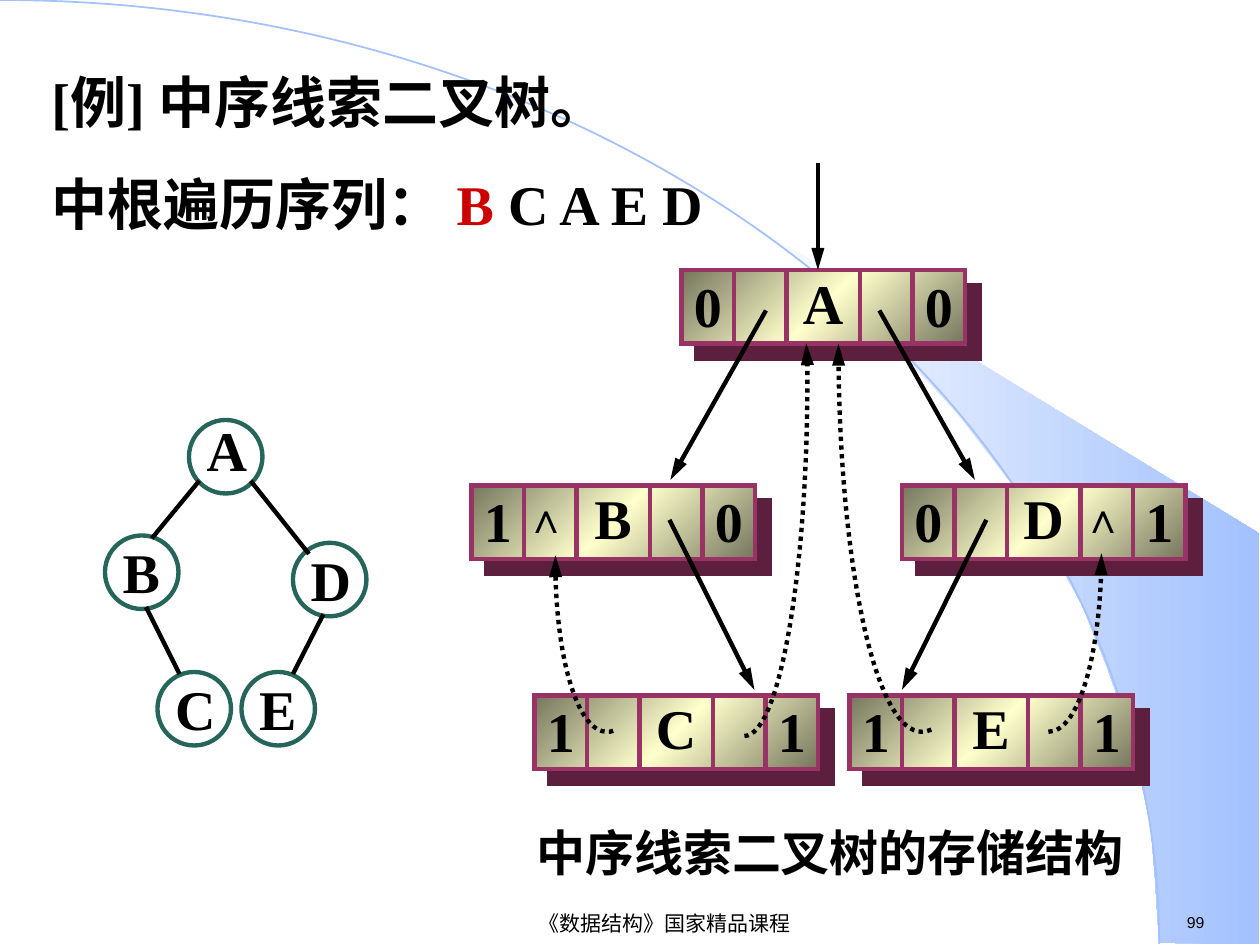
import pptx
import pptx.dml.color
import pptx.enum.dml
import pptx.enum.shapes
import pptx.enum.text
import pptx.oxml
import pptx.oxml.ns
import pptx.util

# The slide is laid out on a grid of 120 columns by 90 rows, 12 to the inch.
CELL = pptx.util.Inches(1) / 12
SERIF = "Times New Roman"
BLACK, PLUM, BLUE, GREEN = "000000", "993366", "A2C1FE", "26665A"
NAMESPACE = pptx.oxml.ns.nsdecls("a")
ALIGN = pptx.enum.text.PP_ALIGN
ANCHOR = pptx.enum.text.MSO_ANCHOR
SHAPE = pptx.enum.shapes.MSO_SHAPE
DOTTED = pptx.enum.dml.MSO_LINE.ROUND_DOT

RECORD_WIDTH, RECORD_HEIGHT = 27, 7
DIVIDERS = (5, 10, 17, 22)

# left, top, left tag, letter, right tag
RECORDS = [
    (64.9, 25.73, "0", "A", "0"),
    (44.9, 46.23, "1", "B", "0"),
    (50.9, 66.23, "1", "C", "1"),
    (85.9, 46.23, "0", "D", "1"),
    (80.9, 66.23, "1", "E", "1"),
]
EMPTY_LINKS = [(48.9, 46.23), (101.9, 46.23)]
POINTERS = [
    (77.9, 15.7, 77.9, 25.7),
    (72.85, 29.75, 63.85, 45.7),
    (83.85, 29.75, 92.85, 45.7),
    (63.85, 49.7, 71.85, 65.7),
    (93.85, 49.7, 85.9, 65.7),
]
# Each thread: a start, then three points for each Bézier piece
THREADS = [
    [(70.9, 70.1), (74.2, 70.1), (76.9, 54.8), (76.9, 36.1),
     (76.9, 34.9), (76.9, 33.8), (76.8, 32.7)],
    [(88.7, 69.5), (88.4, 69.6), (88.1, 69.7), (87.8, 69.7),
     (83.4, 69.7), (79.85, 53.2), (79.85, 32.75)],
    [(58.4, 69.6), (58.2, 69.7), (58.1, 69.7), (57.8, 69.7),
     (55.1, 69.7), (52.9, 62.5), (52.9, 53.6),
     (52.9, 53.4), (52.9, 53.2), (52.9, 52.9)],
    [(99.85, 69.7), (102.6, 69.7), (104.9, 62), (104.9, 52.7)],
]
NODES = [("A", 18, 40), ("C", 15, 64), ("B", 10, 51), ("E", 23, 64), ("D", 27.9, 51.7)]
BRANCHES = [
    (18.85, 45.95, 14.6, 51.1),
    (14, 58, 17, 64),
    (24, 45.95, 29.3, 52.6),
    (30.7, 58.7, 28, 64),
]
BACKDROP_ARC = [(0, 0), (61, 0), (110.4, 40.2), (110.4, 89.9)]
WEDGE = [
    (110.4, 89.8), (119.9, 89.9), (119.9, 50.8), (70.7, 20.8), (74.9, 23.9),
    (78.4, 26.6), (82.2, 30), (85.9, 33.6), (91.4, 39.6), (96.4, 46.1),
    (99.8, 51.7), (103, 57.5), (105.4, 63.4), (107.2, 68.6), (108.4, 73.1),
    (109.6, 78.7), (110, 83.5),
]


def grid(*values):
    return [pptx.util.Emu(round(value * CELL)) for value in values]


def colour(code):
    return pptx.dml.color.RGBColor.from_string(code)


def style_line(line, code, width=2.5, dash=None, arrow=False, square=False):
    line.color.rgb = colour(code)
    line.width = pptx.util.Pt(width)
    if dash is not None:
        line.dash_style = dash
    stroke = line._get_or_add_ln()
    if square:
        stroke.set("cap", "sq")
        stroke.append(pptx.oxml.parse_xml(f'<a:miter {NAMESPACE} lim="800000"/>'))
    if arrow:
        stroke.append(pptx.oxml.parse_xml(
            f'<a:tailEnd {NAMESPACE} type="triangle" w="med" len="lg"/>'))


def style_font(para, size, code=BLACK, name=SERIF, bold=True):
    para.font.size = pptx.util.Pt(size)
    para.font.name = name
    para.font.bold = bold
    para.font.color.rgb = colour(code)


def fill_gradient(shape, stops, angle):
    """Fill a shape with (percent, colour) stops along a clockwise angle."""
    marks = "".join(f'<a:gs pos="{percent * 1000}"><a:srgbClr val="{code}"/></a:gs>'
                    for percent, code in stops)
    shape.fill.background()
    properties = shape._element.spPr
    blank = properties.find(pptx.oxml.ns.qn("a:noFill"))
    properties.replace(blank, pptx.oxml.parse_xml(
        f'<a:gradFill {NAMESPACE} rotWithShape="1"><a:gsLst>{marks}</a:gsLst>'
        f'<a:lin ang="{angle * 60000}" scaled="0"/></a:gradFill>'))


def add_label(page, text, place, size=32, align=ALIGN.LEFT, spacing=None,
              anchor=ANCHOR.TOP, name=SERIF, bold=True):
    frame = page.shapes.add_textbox(*grid(*place)).text_frame
    frame.word_wrap = True
    frame.vertical_anchor = anchor
    para = frame.paragraphs[0]
    para.text = text
    para.alignment = align
    para.line_spacing = spacing
    style_font(para, size, name=name, bold=bold)


def add_line(page, ends, code=BLACK, arrow=False):
    line = page.shapes.add_connector(
        pptx.enum.shapes.MSO_CONNECTOR.STRAIGHT, *grid(*ends))
    style_line(line.line, code, arrow=arrow, square=True)
    line._element.spPr.append(pptx.oxml.parse_xml(f"<a:effectLst {NAMESPACE}/>"))


def add_outline(page, points, close=False):
    corners = [grid(*point) for point in points]
    builder = page.shapes.build_freeform(*corners[0])
    builder.add_line_segments(corners[1:], close=close)
    shape = builder.convert_to_shape()
    shape.shadow.inherit = False
    return shape


def add_curve(page, controls, **line_style):
    """Draw an open curve: each three segments become one Bézier piece."""
    curve = add_outline(page, controls)
    segments = list(curve._element.iter(pptx.oxml.ns.qn("a:lnTo")))
    for first in range(0, len(segments), 3):
        piece = pptx.oxml.parse_xml(f"<a:cubicBezTo {NAMESPACE}/>")
        segments[first].addprevious(piece)
        for segment in segments[first:first + 3]:
            piece.append(segment[0])
            segment.getparent().remove(segment)
    curve.fill.background()
    style_line(curve.line, **line_style)


def add_record(page, left, top, left_tag, letter, right_tag):
    box = page.shapes.add_shape(
        SHAPE.RECTANGLE, *grid(left, top, RECORD_WIDTH, RECORD_HEIGHT))
    fill_gradient(box, [(0, "76765E"), (50, "FFFFCC"), (100, "76765E")], 45)
    style_line(box.line, PLUM, square=True)
    box.shadow.inherit = False
    effects = box._element.spPr.find(pptx.oxml.ns.qn("a:effectLst"))
    effects.append(pptx.oxml.parse_xml(
        f'<a:outerShdw {NAMESPACE} dist="{pptx.util.Pt(12.1)}" dir="2700000" algn="ctr">'
        '<a:srgbClr val="5C1F3D"/></a:outerShdw>'))
    for offset in DIVIDERS:
        add_line(page, (left + offset, top, left + offset, top + RECORD_HEIGHT), PLUM)
    add_label(page, letter, (left + 10, top, 7, 7), align=ALIGN.CENTER, spacing=0.9)
    for tag, offset in ((left_tag, 0), (right_tag, DIVIDERS[-1])):
        add_label(page, tag, (left + offset, top - 0.45, 6, 7.7))


def add_node(page, letter, left, top):
    circle = page.shapes.add_shape(SHAPE.OVAL, *grid(left, top, 7, 7))
    circle.fill.background()
    circle.shadow.inherit = False
    style_line(circle.line, GREEN)
    first = letter == "A"
    add_label(page, letter, (left + 0.5, top - 1, 7, 7.7 if first else 8.3),
              spacing=None if first else 1.1)


def add_heading(page):
    title = page.shapes.title
    title.left, title.top, title.width, title.height = grid(3.7, 5.8, 78, 17.4)
    frame = title.text_frame
    frame.auto_size = pptx.enum.text.MSO_AUTO_SIZE.NONE
    frame.vertical_anchor = ANCHOR.TOP
    example, order = frame.paragraphs[0], frame.add_paragraph()
    example.text = "[例] 中序线索二叉树。"
    order.space_before = pptx.util.Pt(20)
    for text, code in (("中根遍历序列： ", BLACK), ("B", "CC0000"), (" C A E D", BLACK)):
        span = order.add_run()
        span.text = text
        span.font.color.rgb = colour(code)
    for para in (example, order):
        para.alignment = ALIGN.LEFT
        style_font(para, 32)
    # Bring the heading in front of the backdrop
    page.shapes._spTree.append(title._element)


def main():
    deck = pptx.Presentation()
    deck.slide_width, deck.slide_height = grid(120, 90)
    page = deck.slides.add_slide(deck.slide_layouts[5])

    # Backdrop and footer
    wedge = add_outline(page, WEDGE, close=True)
    fill_gradient(wedge, [(0, "FFFFFF"), (100, BLUE)], 0)
    wedge.line.fill.background()
    add_curve(page, BACKDROP_ARC, code=BLUE, width=1)
    add_label(page, "99", (111.85, 86.3, 8, 3), 9, name="Arial", bold=False)
    add_label(page, "《数据结构》国家精品课程", (28.8, 86.5, 69, 2.9), 12,
              align=ALIGN.CENTER, anchor=ANCHOR.MIDDLE, name="Arial", bold=False)

    # Storage structure: records, pointers and threads
    for record in RECORDS:
        add_record(page, *record)
    for ends in POINTERS:
        add_line(page, ends, arrow=True)
    for controls in THREADS:
        add_curve(page, controls, code=BLACK, dash=DOTTED, arrow=True)
    for left, top in EMPTY_LINKS:
        add_label(page, "∧", (left, top, 6, 6), 24)
    add_label(page, "中序线索二叉树的存储结构", (49.9, 77.7, 64, 6.8), 28)

    # Binary tree
    for node in NODES:
        add_node(page, *node)
    for ends in BRANCHES:
        add_line(page, ends)

    add_heading(page)
    deck.save("out.pptx")


if __name__ == "__main__":
    main()
